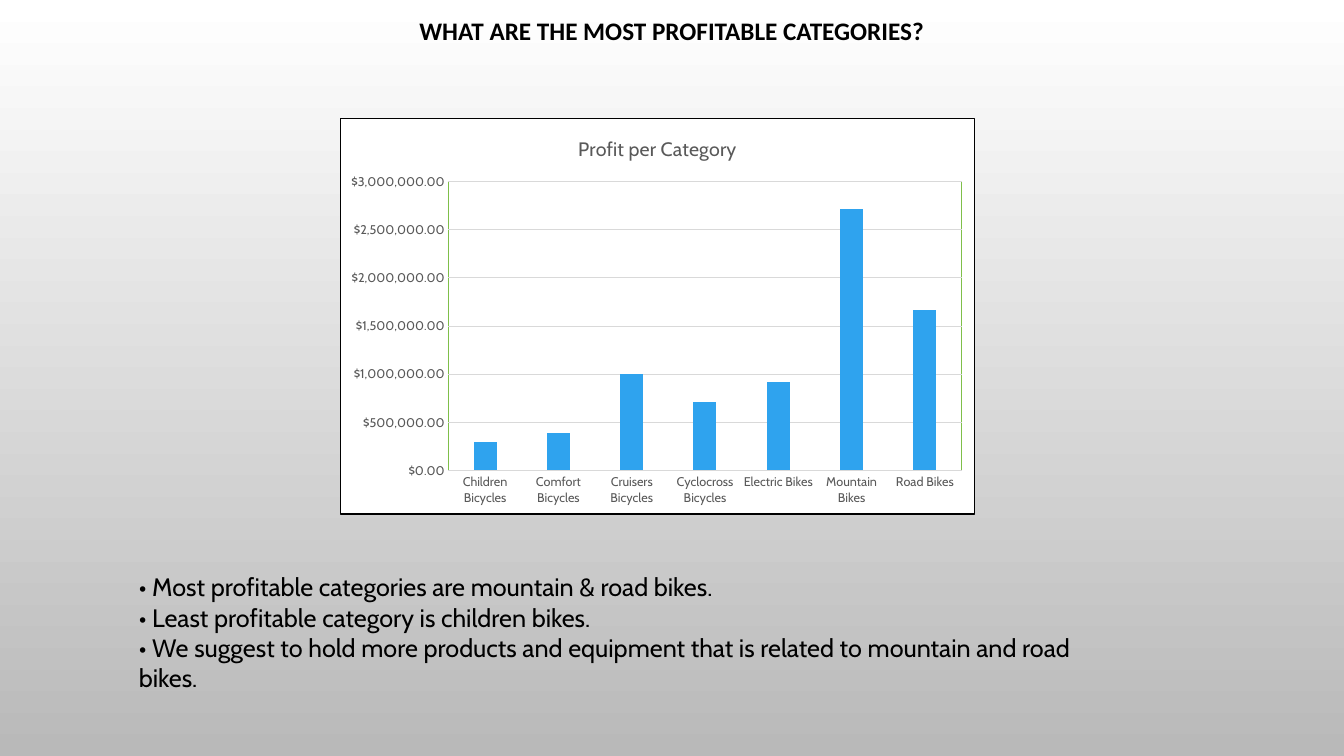
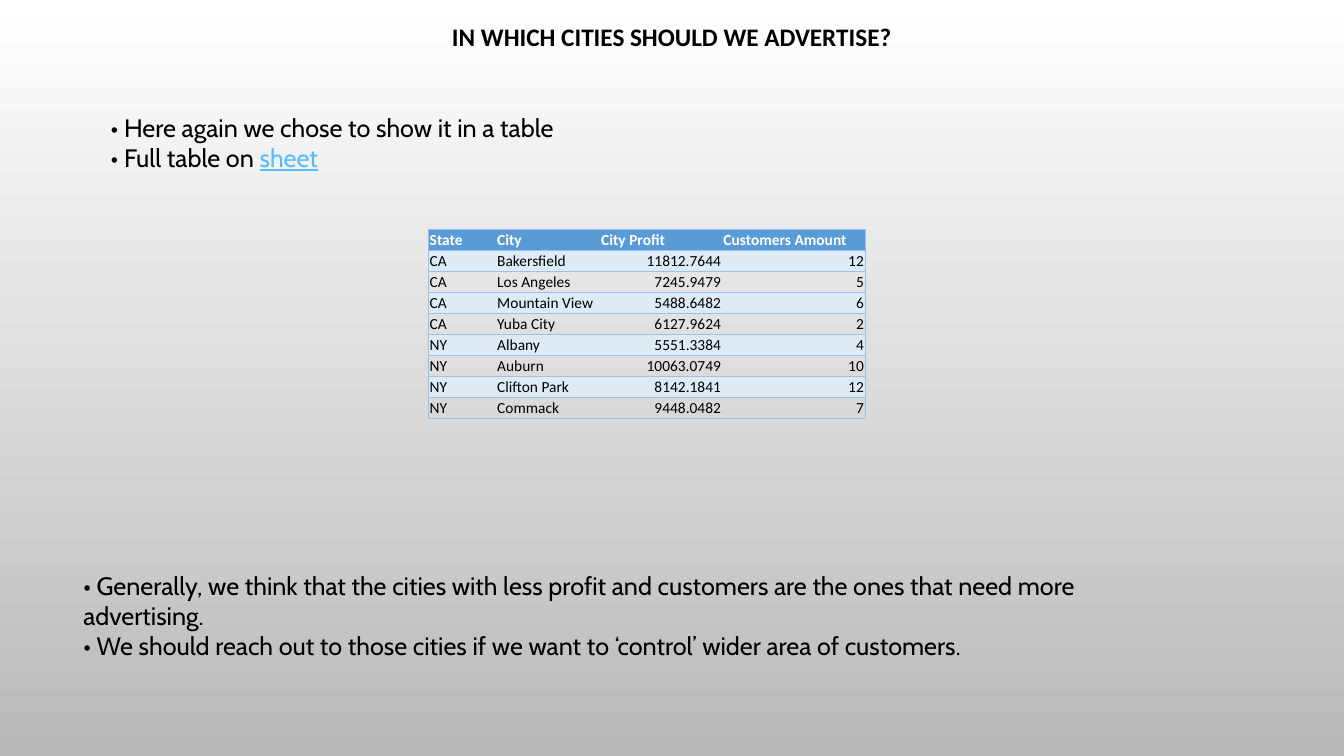
import pptx
import pptx.chart.data
import pptx.dml.color
import pptx.enum.chart
import pptx.enum.text
import pptx.oxml
import pptx.oxml.ns
import pptx.util
from pptx.util import Cm

BLACK, WHITE, GREY = "000000", "FFFFFF", "595959"
SHADE, RULE, BAR, PLOT_EDGE = "B9B9B9", "D9D9D9", "2FA3EE", "7FBF4A"
HEADER, BAND, CELL_EDGE, ACCENT = "5B9BD5", "DDEBF7", "9BC2E6", "56BCFE"
BODY_FONT, HEAD_FONT = "Cabin", "Calibri"
NO_STYLE = "{2D5ABB26-0587-4C30-8999-92F81FD0307C}"
TITLE_LEFT, TITLE_WIDTH = 2.54, 28.78

PROFITS = {
    "Children Bicycles": 290000,
    "Comfort Bicycles": 390000,
    "Cruisers Bicycles": 1000000,
    "Cyclocross Bicycles": 710000,
    "Electric Bikes": 920000,
    "Mountain Bikes": 2720000,
    "Road Bikes": 1670000,
}
CITIES = [
    ("State", "City", "City Profit", "Customers Amount"),
    ("CA", "Bakersfield", "11812.7644", "12"),
    ("CA", "Los Angeles", "7245.9479", "5"),
    ("CA", "Mountain View", "5488.6482", "6"),
    ("CA", "Yuba City", "6127.9624", "2"),
    ("NY", "Albany", "5551.3384", "4"),
    ("NY", "Auburn", "10063.0749", "10"),
    ("NY", "Clifton Park", "8142.1841", "12"),
    ("NY", "Commack", "9448.0482", "7"),
]
COLUMN_WIDTHS = (1.7, 2.62, 3.08, 3.6)


def colour(value):
    """Return the colour for a hex string."""
    return pptx.dml.color.RGBColor.from_string(value)


def style_font(font, size=18, name=BODY_FONT, color=BLACK, bold=False, underline=False):
    """Give a font its size, face, colour and emphasis."""
    font.size = pptx.util.Pt(size)
    font.name = name
    font.bold = bold
    font.underline = underline
    font.color.rgb = colour(color)


def write(para, text, align=None, **font_format):
    """Add a formatted span of text to a paragraph."""
    span = para.add_run()
    span.text = text
    if align is not None:
        para.alignment = align
    style_font(span.font, **font_format)


def line_xml(tag, color, width):
    """Build a solid outline element, with its width in points."""
    return pptx.oxml.parse_xml(
        f'<a:{tag} {pptx.oxml.ns.nsdecls("a")} w="{int(pptx.util.Pt(width))}">'
        f'<a:solidFill><a:srgbClr val="{color}"/></a:solidFill></a:{tag}>'
    )


def chart_area_xml(fill, edge, width):
    """Build the fill and outline of a part of a chart."""
    area = pptx.oxml.parse_xml(
        f'<c:spPr {pptx.oxml.ns.nsdecls("c", "a")}>{fill}</c:spPr>'
    )
    area.append(line_xml("ln", edge, width))
    return area


def add_page(deck, title, top, height):
    """Add a title-only slide with its title at the given height."""
    page = deck.slides.add_slide(deck.slide_layouts[5])
    shape = page.shapes.title
    shape.left, shape.top = Cm(TITLE_LEFT), Cm(top)
    shape.width, shape.height = Cm(TITLE_WIDTH), Cm(height)
    frame = shape.text_frame
    frame.word_wrap = True
    frame.auto_size = pptx.enum.text.MSO_AUTO_SIZE.NONE
    frame.vertical_anchor = pptx.enum.text.MSO_ANCHOR.TOP
    frame.margin_top = Cm(0.28)
    frame.margin_bottom = 0
    para = frame.paragraphs[0]
    para.line_spacing = 0.9
    write(para, title, align=pptx.enum.text.PP_ALIGN.CENTER, name=HEAD_FONT, bold=True)
    return page


def add_points(page, box, points):
    """Write a list of points in a box and return its last paragraph."""
    frame = page.shapes.add_textbox(*map(Cm, box)).text_frame
    frame.word_wrap = True
    frame.auto_size = pptx.enum.text.MSO_AUTO_SIZE.SHAPE_TO_FIT_TEXT
    for index, point in enumerate(points):
        para = frame.add_paragraph() if index else frame.paragraphs[0]
        write(para, "• " + point)
    return para


def frame_chart(chart):
    """Set the chart's background, outline and plot area."""
    white = f'<a:solidFill><a:srgbClr val="{WHITE}"/></a:solidFill>'
    body = chart._chartSpace.find(pptx.oxml.ns.qn("c:chart"))
    body.addnext(chart_area_xml(white, BLACK, 1))
    plot_area = body.find(pptx.oxml.ns.qn("c:plotArea"))
    for old in plot_area.findall(pptx.oxml.ns.qn("c:layout")):
        plot_area.remove(old)
    places = {"x": 0.17, "y": 0.16, "w": 0.81, "h": 0.73}
    modes = '<c:layoutTarget val="inner"/><c:xMode val="edge"/><c:yMode val="edge"/>'
    sizes = "".join(f'<c:{key} val="{value}"/>' for key, value in places.items())
    plot_area.insert(0, pptx.oxml.parse_xml(
        f'<c:layout {pptx.oxml.ns.nsdecls("c")}>'
        f"<c:manualLayout>{modes}{sizes}</c:manualLayout></c:layout>"
    ))
    plot_area.append(chart_area_xml("<a:noFill/>", PLOT_EDGE, 0.75))


def add_profit_chart(page, box):
    """Draw the column chart of profit per category in a box."""
    data = pptx.chart.data.CategoryChartData()
    data.categories = list(PROFITS)
    data.add_series("Series 1", list(PROFITS.values()))
    kind = pptx.enum.chart.XL_CHART_TYPE.COLUMN_CLUSTERED
    chart = page.shapes.add_chart(kind, *map(Cm, box), data).chart
    style_font(chart.font, size=10)
    chart.has_legend = False
    chart.has_title = True
    chart.chart_title.include_in_layout = False
    write(chart.chart_title.text_frame.paragraphs[0], "Profit per Category",
          size=14, color=GREY)

    plot = chart.plots[0]
    plot.gap_width, plot.overlap = 219, -27
    plot.vary_by_categories = False
    fill = plot.series[0].format.fill
    fill.solid()
    fill.fore_color.rgb = colour(BAR)

    categories, values = chart.category_axis, chart.value_axis
    for axis in (categories, values):
        axis.major_tick_mark = pptx.enum.chart.XL_TICK_MARK.NONE
        axis.minor_tick_mark = pptx.enum.chart.XL_TICK_MARK.NONE
        style_font(axis.tick_labels.font, size=9, color=GREY)
    values.minimum_scale, values.maximum_scale = 0, 3000000
    values.major_unit = 500000
    values.tick_labels.number_format = "[$$-409]#,##0.00"
    values.tick_labels.number_format_is_linked = False
    values.format.line.fill.background()
    values.has_major_gridlines = True
    for line in (categories.format.line, values.major_gridlines.format.line):
        line.color.rgb = colour(RULE)
        line.width = pptx.util.Pt(0.75)
    frame_chart(chart)


def fill_cell(cell, text, row, column):
    """Write one table cell with its fill and borders."""
    header = row == 0
    cell.margin_left = cell.margin_right = cell.margin_top = Cm(0.03)
    cell.margin_bottom = 0
    cell.vertical_anchor = pptx.enum.text.MSO_ANCHOR.BOTTOM
    numeric = column > 1 and not header
    aligns = pptx.enum.text.PP_ALIGN
    write(cell.text_frame.paragraphs[0], text, size=11, name=HEAD_FONT, bold=header,
          color=WHITE if header else BLACK,
          align=aligns.RIGHT if numeric else aligns.LEFT)
    if header or row % 2:
        cell.fill.solid()
        cell.fill.fore_color.rgb = colour(HEADER if header else BAND)
    else:
        cell.fill.background()
    sides = ["lnT", "lnB"]
    if column == len(COLUMN_WIDTHS) - 1:
        sides.insert(0, "lnR")
    if column == 0:
        sides.insert(0, "lnL")
    properties = cell._tc.get_or_add_tcPr()
    for index, side in enumerate(sides):
        properties.insert(index, line_xml(side, CELL_EDGE, 0.5))


def add_city_table(page, box):
    """Draw the table of cities in a box, with banded rows."""
    shape = page.shapes.add_table(len(CITIES), len(COLUMN_WIDTHS), *map(Cm, box))
    table = shape.table
    table._tbl.tblPr.find(pptx.oxml.ns.qn("a:tableStyleId")).text = NO_STYLE
    scale = box[2] / sum(COLUMN_WIDTHS)
    for column, width in zip(table.columns, COLUMN_WIDTHS):
        column.width = Cm(width * scale)
    for row, texts in enumerate(CITIES):
        table.rows[row].height = Cm(box[3] / len(CITIES))
        for column, text in enumerate(texts):
            fill_cell(table.cell(row, column), text, row, column)


def build_profit_page(deck):
    """Build the slide on profitable categories."""
    page = add_page(deck, "WHAT ARE THE MOST PROFITABLE CATEGORIES?", 0.2, 2.77)
    add_profit_chart(page, (8.57, 2.97, 16, 10))
    add_points(page, (3.25, 14.28, 24.4, 3.33), [
        "Most profitable categories are mountain & road bikes.",
        "Least profitable category is children bikes.",
        "We suggest to hold more products and equipment that is related to "
        "mountain and road bikes.",
    ])


def build_city_page(deck):
    """Build the slide on cities to advertise in."""
    page = add_page(deck, "IN WHICH CITIES SHOULD WE ADVERTISE?", 0.35, 1.24)
    para = add_points(page, (TITLE_LEFT, 2.7, TITLE_WIDTH, 1.8), [
        "Here again we chose to show it in a table",
        "Full table on ",
    ])
    write(para, "sheet", color=ACCENT, underline=True)
    add_city_table(page, (10.8, 5.77, 11, 4.77))
    add_points(page, (1.85, 14.24, 27.84, 1.8), [
        "Generally, we think that the cities with less profit and customers are "
        "the ones that need more advertising.",
        "We should reach out to those cities if we want to ‘control’ wider area "
        "of customers.",
    ])


def main():
    """Build the deck and save it."""
    deck = pptx.Presentation()
    deck.slide_width, deck.slide_height = Cm(33.87), Cm(19.05)
    fill = deck.slide_master.background.fill
    fill.gradient()
    fill.gradient_angle = 270
    for stop, shade, position in zip(fill.gradient_stops, (WHITE, SHADE), (0, 1)):
        stop.color.rgb = colour(shade)
        stop.position = position
    build_profit_page(deck)
    build_city_page(deck)
    deck.save("out.pptx")


if __name__ == "__main__":
    main()
